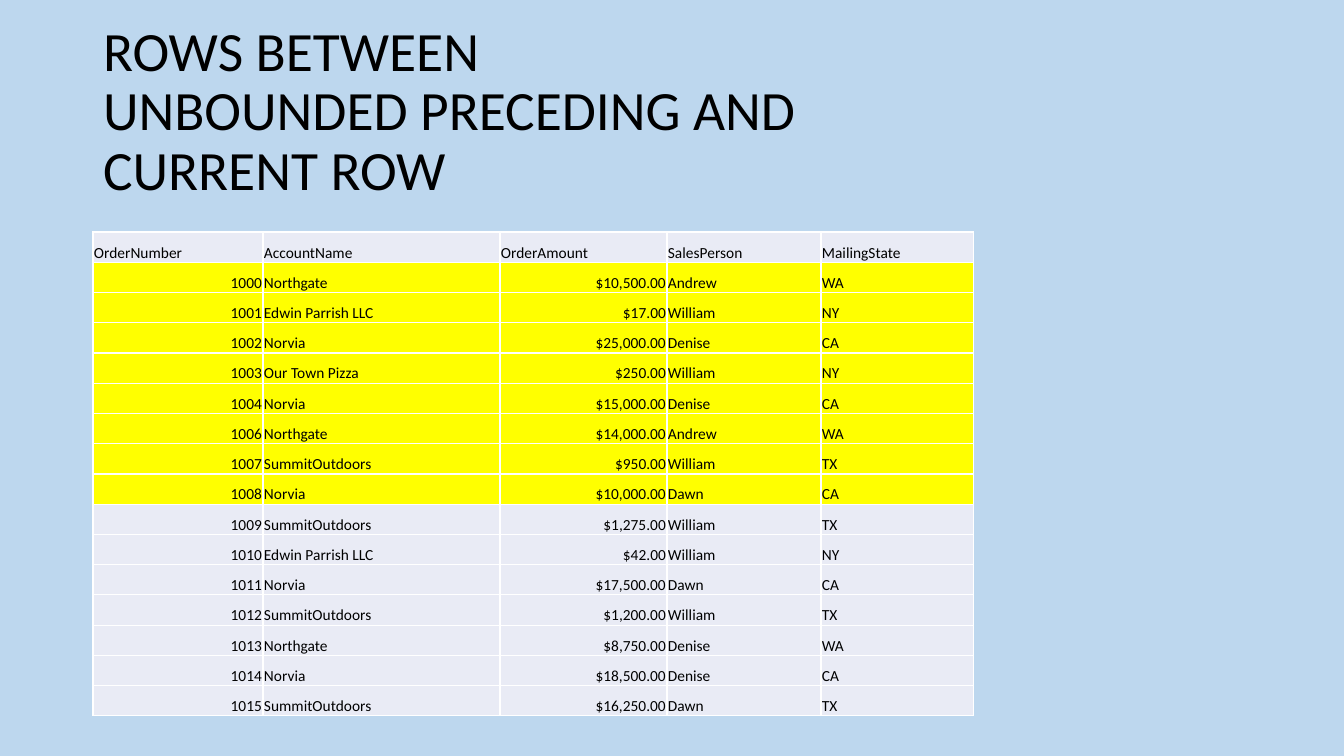
import itertools
from dataclasses import dataclass

import lxml.etree
import pptx
import pptx.dml.color
import pptx.enum.text
import pptx.oxml.ns
import pptx.util

EMU_PER_PIXEL = 12192000 / 1344


@dataclass(frozen=True)
class Theme:
    font: str = "Calibri"
    background: str = "BDD7EE"
    text: str = "000000"
    plain: str = "E9EBF5"
    highlight: str = "FFFF00"
    border: str = "FFFFFF"
    title_size: float = 39.6
    table_size: float = 11
    border_width: float = 1


THEME = Theme()
SLIDE_SIZE = (1344, 756)
TITLE_BOX = (93, 40, 1159, 146)
TABLE_BOX = (93, 232, 881, 484)
COLUMN_WIDTHS = (170, 237, 167, 154, 153)
NUMERIC_COLUMNS = (0, 2)
HIGHLIGHTED_ROWS = range(1, 9)
TITLE = "ROWS BETWEEN\vUNBOUNDED PRECEDING AND\vCURRENT ROW"
ORDERS = (
    ("OrderNumber", "AccountName", "OrderAmount", "SalesPerson", "MailingState"),
    ("1000", "Northgate", "$10,500.00", "Andrew", "WA"),
    ("1001", "Edwin Parrish LLC", "$17.00", "William", "NY"),
    ("1002", "Norvia", "$25,000.00", "Denise", "CA"),
    ("1003", "Our Town Pizza", "$250.00", "William", "NY"),
    ("1004", "Norvia", "$15,000.00", "Denise", "CA"),
    ("1006", "Northgate", "$14,000.00", "Andrew", "WA"),
    ("1007", "SummitOutdoors", "$950.00", "William", "TX"),
    ("1008", "Norvia", "$10,000.00", "Dawn", "CA"),
    ("1009", "SummitOutdoors", "$1,275.00", "William", "TX"),
    ("1010", "Edwin Parrish LLC", "$42.00", "William", "NY"),
    ("1011", "Norvia", "$17,500.00", "Dawn", "CA"),
    ("1012", "SummitOutdoors", "$1,200.00", "William", "TX"),
    ("1013", "Northgate", "$8,750.00", "Denise", "WA"),
    ("1014", "Norvia", "$18,500.00", "Denise", "CA"),
    ("1015", "SummitOutdoors", "$16,250.00", "Dawn", "TX"),
)


def px(length):
    return pptx.util.Emu(round(length * EMU_PER_PIXEL))


def color(value):
    return pptx.dml.color.RGBColor.from_string(value)


def set_font(paragraph, size):
    paragraph.font.name = THEME.font
    paragraph.font.size = pptx.util.Pt(size)
    paragraph.font.color.rgb = color(THEME.text)


def add_borders(cell):
    properties = cell._tc.get_or_add_tcPr()
    qualified = pptx.oxml.ns.qn
    for side in ("lnL", "lnR", "lnT", "lnB"):
        line = lxml.etree.SubElement(properties, qualified(f"a:{side}"))
        line.set("w", str(pptx.util.Pt(THEME.border_width)))
        fill = lxml.etree.SubElement(line, qualified("a:solidFill"))
        lxml.etree.SubElement(fill, qualified("a:srgbClr")).set("val", THEME.border)


def place_title(slide, box):
    title = slide.shapes.title
    title.left, title.top, title.width, title.height = map(px, box)
    frame = title.text_frame
    frame.word_wrap = True
    frame.auto_size = pptx.enum.text.MSO_AUTO_SIZE.NONE
    frame.vertical_anchor = pptx.enum.text.MSO_ANCHOR.MIDDLE
    frame.text = TITLE
    paragraph = frame.paragraphs[0]
    paragraph.alignment = pptx.enum.text.PP_ALIGN.LEFT
    paragraph.line_spacing = 0.9
    set_font(paragraph, THEME.title_size)


def format_cell(cell, text, fill, alignment):
    cell.margin_left = cell.margin_right = cell.margin_top = px(1)
    cell.margin_bottom = 0
    cell.vertical_anchor = pptx.enum.text.MSO_ANCHOR.BOTTOM
    add_borders(cell)
    cell.fill.solid()
    cell.fill.fore_color.rgb = color(fill)
    cell.text = text
    paragraph = cell.text_frame.paragraphs[0]
    paragraph.alignment = alignment
    set_font(paragraph, THEME.table_size)


def place_orders(slide, box):
    row_count = len(ORDERS)
    table = slide.shapes.add_table(row_count, len(COLUMN_WIDTHS), *map(px, box)).table
    table.first_row = False
    table.horz_banding = False
    for column, width in zip(table.columns, COLUMN_WIDTHS):
        column.width = px(width)
    for row in table.rows:
        row.height = px(box[3] / row_count)
    for row, column in itertools.product(range(row_count), range(len(COLUMN_WIDTHS))):
        fill = THEME.highlight if row in HIGHLIGHTED_ROWS else THEME.plain
        is_number = row > 0 and column in NUMERIC_COLUMNS
        align = pptx.enum.text.PP_ALIGN
        alignment = align.RIGHT if is_number else align.LEFT
        format_cell(table.cell(row, column), ORDERS[row][column], fill, alignment)


def main():
    presentation = pptx.Presentation()
    presentation.slide_width, presentation.slide_height = map(px, SLIDE_SIZE)
    title_only = presentation.slide_layouts.get_by_name("Title Only")
    slide = presentation.slides.add_slide(title_only)
    slide.background.fill.solid()
    slide.background.fill.fore_color.rgb = color(THEME.background)
    place_title(slide, TITLE_BOX)
    place_orders(slide, TABLE_BOX)
    presentation.save("out.pptx")


if __name__ == "__main__":
    main()
